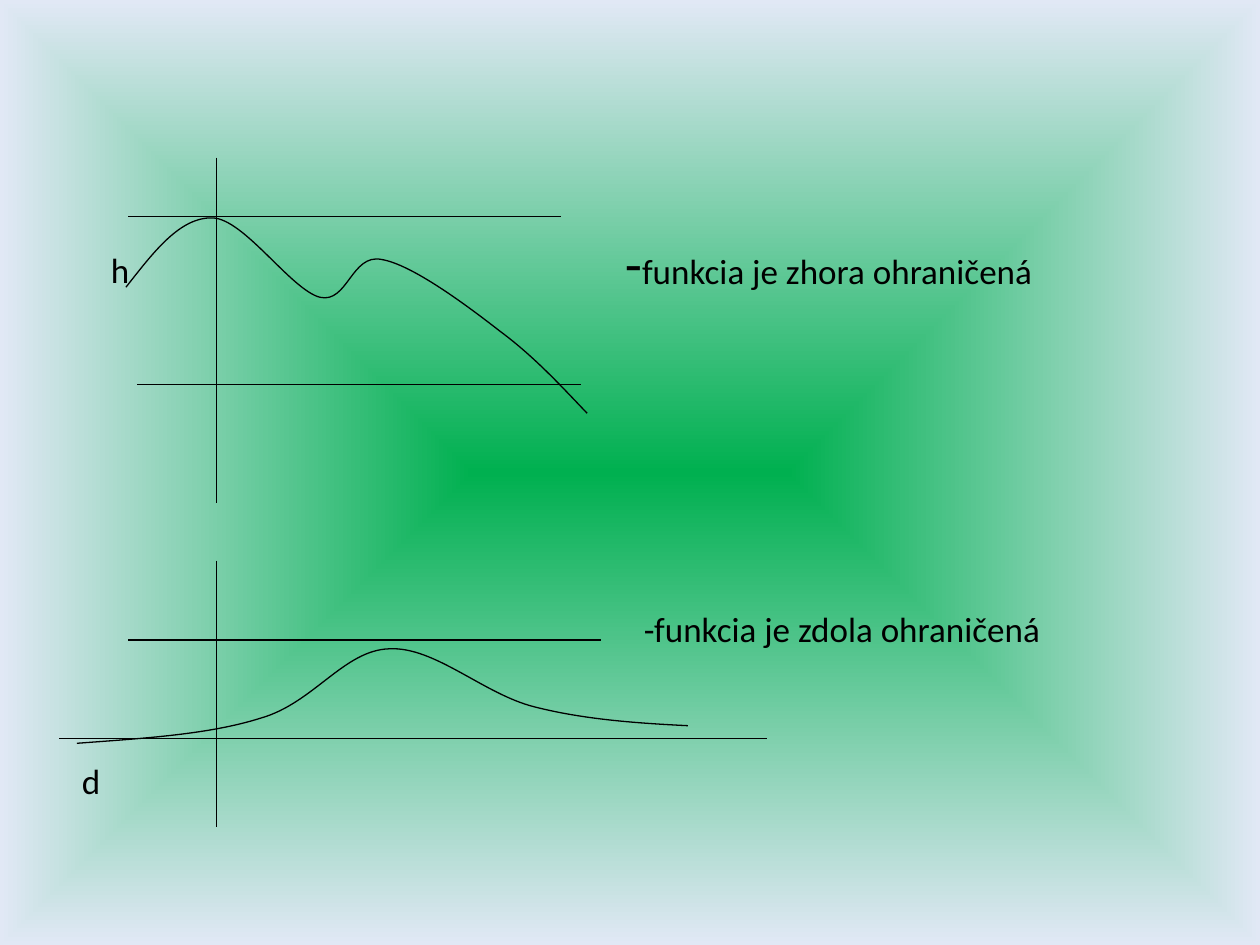
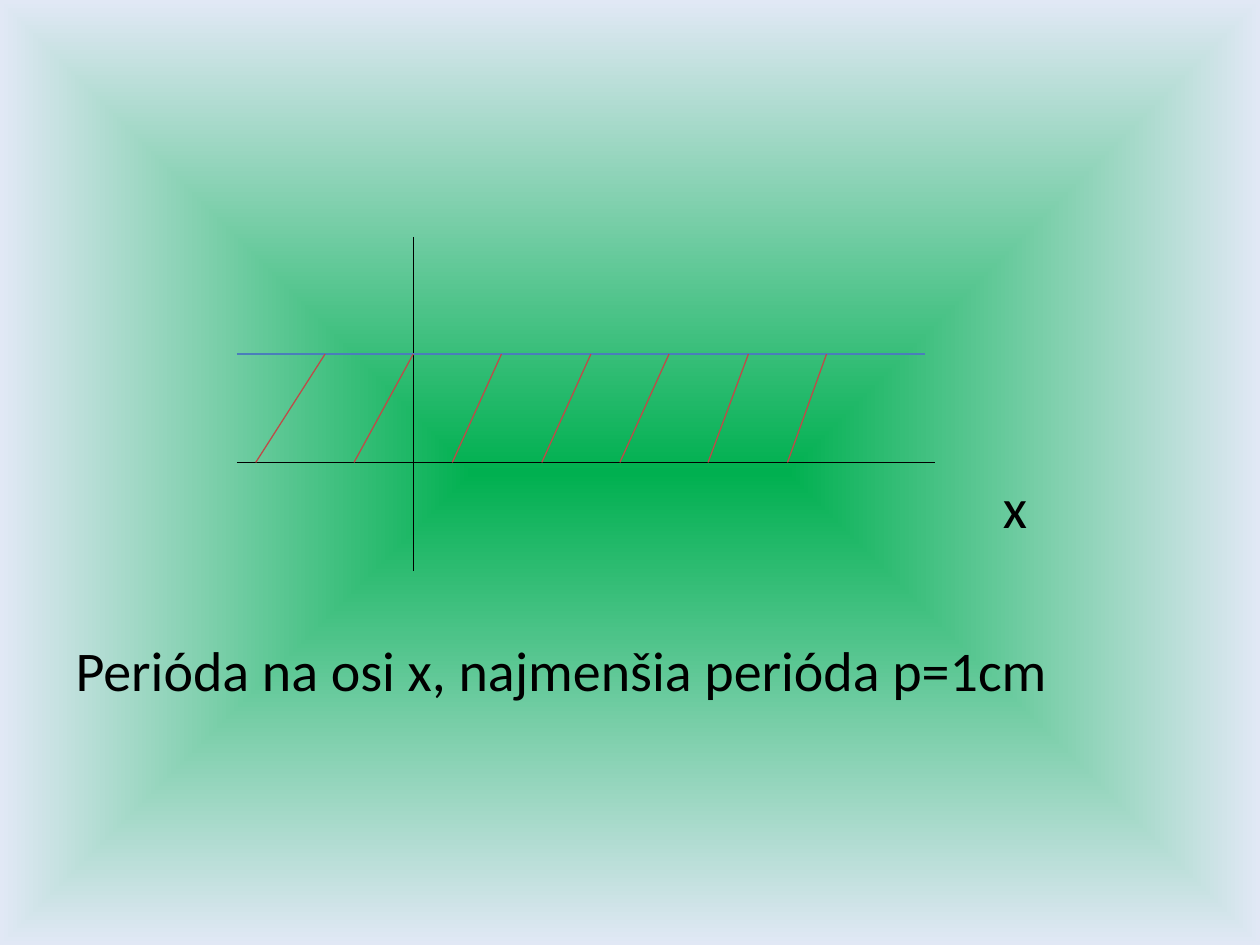
from lxml.etree import SubElement
from pptx import Presentation
from pptx.dml.color import RGBColor
from pptx.enum.shapes import MSO_CONNECTOR
from pptx.oxml.ns import qn
from pptx.util import Inches, Pt

SLIDE_WIDTH, SLIDE_HEIGHT = Inches(10), Inches(7.5)
COLUMN = SLIDE_WIDTH / 10
ROW = SLIDE_HEIGHT / 7.5
FINE = 100

FONT = "Calibri"
BLACK, BLUE, RED = "000000", "4A7EBB", "BE4B48"
CENTRE_GREEN, EDGE_BLUE = "00B050", "E1E8F5"
SMALL, LARGE = 20, 32

UPPER_BOUNDED = [
    (1, 2.28),
    (1.22, 2), (1.43, 1.72), (1.69, 1.73),
    (1.94, 1.74), (2.31, 2.3), (2.54, 2.36),
    (2.76, 2.41), (2.79, 2.01), (3.03, 2.06),
    (3.27, 2.1), (3.7, 2.42), (3.97, 2.63),
    (4.24, 2.83), (4.45, 3.06), (4.66, 3.28),
]
LOWER_BOUNDED = [
    (0.61, 5.9),
    (1.14, 5.86), (1.66, 5.83), (2.07, 5.7),
    (2.49, 5.58), (2.73, 5.16), (3.09, 5.15),
    (3.45, 5.13), (3.84, 5.51), (4.24, 5.61),
    (4.63, 5.71), (5.05, 5.74), (5.46, 5.76),
]
PERIOD_FEET = [2.03, 2.81, 3.59, 4.3, 4.92, 5.62, 6.25]
PERIOD_TOPS = [2.58, 3.28, 3.98, 4.69, 5.31, 5.94, 6.56]


def rgb(value):
    return RGBColor.from_string(value)


def across(columns):
    return round(columns * COLUMN)


def down(rows):
    return round(rows * ROW)


def set_background(master):
    fill = master.background.fill
    fill.gradient()
    for stop, position, color in zip(fill.gradient_stops, (0, 1), (CENTRE_GREEN, EDGE_BLUE)):
        stop.position = position
        stop.color.rgb = rgb(color)
    gradient = master.element.find(".//" + qn("a:gradFill"))
    gradient.remove(gradient.find(qn("a:lin")))
    spread = SubElement(gradient, qn("a:path"), path="rect")
    SubElement(spread, qn("a:fillToRect"), l="50000", t="50000", r="50000", b="50000")


def style_line(line, color):
    line.color.rgb = rgb(color)
    line.width = Pt(0.75)


def add_line(slide, start, end, color=BLACK):
    connector = slide.shapes.add_connector(
        MSO_CONNECTOR.STRAIGHT,
        across(start[0]), down(start[1]), across(end[0]), down(end[1]))
    style_line(connector.line, color)
    SubElement(connector._element.spPr, qn("a:effectLst"))


def add_curve(slide, points):
    grid = [(round(x * FINE), round(y * FINE)) for x, y in points]
    builder = slide.shapes.build_freeform(*grid[0], scale=(COLUMN / FINE, ROW / FINE))
    builder.add_line_segments(grid[1:], close=False)
    curve = builder.convert_to_shape()
    outline = curve._element.find(".//" + qn("a:path"))
    segments = outline.findall(qn("a:lnTo"))
    for first in range(0, len(segments), 3):
        bend = SubElement(outline, qn("a:cubicBezTo"))
        for segment in segments[first:first + 3]:
            bend.append(segment[0])
            outline.remove(segment)
    curve.fill.background()
    curve.shadow.inherit = False
    style_line(curve.line, BLACK)


def add_label(slide, left, top, width, *parts):
    height = max(size for _, size in parts) / 60
    box = slide.shapes.add_textbox(across(left), down(top), across(width), down(height))
    frame = box.text_frame
    frame.word_wrap = True
    frame.margin_left = frame.margin_right = frame.margin_top = frame.margin_bottom = 0
    for text, size in parts:
        run = frame.paragraphs[0].add_run()
        run.text = text
        run.font.name = FONT
        run.font.size = Pt(size)
        run.font.color.rgb = rgb(BLACK)


def build_bounded_functions(slide):
    add_label(slide, 0.88, 1.97, 0.4, ("h", SMALL))
    add_label(slide, 4.96, 1.81, 4.4, ("-", LARGE), ("funkcia je zhora ohraničená", SMALL))
    add_label(slide, 5.11, 4.82, 4.3, ("-funkcia je zdola ohraničená", SMALL))
    add_label(slide, 0.65, 6.03, 0.4, ("d", SMALL))

    add_line(slide, (1.09, 3.05), (4.61, 3.05))
    add_line(slide, (1.72, 1.25), (1.72, 3.99))
    add_curve(slide, UPPER_BOUNDED)
    add_line(slide, (1.02, 1.72), (4.45, 1.72))

    add_line(slide, (1.02, 5.08), (4.77, 5.08))
    add_line(slide, (1.72, 4.45), (1.72, 6.56))
    add_curve(slide, LOWER_BOUNDED)
    add_line(slide, (0.47, 5.86), (6.09, 5.86))


def build_periodic_function(slide):
    axis, crest = 3.67, 2.81
    add_label(slide, 7.96, 3.75, 0.5, ("x", LARGE))
    add_label(slide, 0.6, 5.04, 8.8, ("Perióda na osi x, najmenšia perióda p=1cm", LARGE))

    add_line(slide, (1.88, axis), (7.42, axis))
    add_line(slide, (3.28, 1.88), (3.28, 4.53))
    add_line(slide, (1.88, crest), (7.34, crest), BLUE)
    for foot, top in zip(PERIOD_FEET, PERIOD_TOPS):
        add_line(slide, (foot, axis), (top, crest), RED)


def main():
    presentation = Presentation()
    presentation.slide_width, presentation.slide_height = SLIDE_WIDTH, SLIDE_HEIGHT
    set_background(presentation.slide_master)
    blank = presentation.slide_layouts[6]
    for build in (build_bounded_functions, build_periodic_function):
        build(presentation.slides.add_slide(blank))
    presentation.save("out.pptx")


if __name__ == "__main__":
    main()
